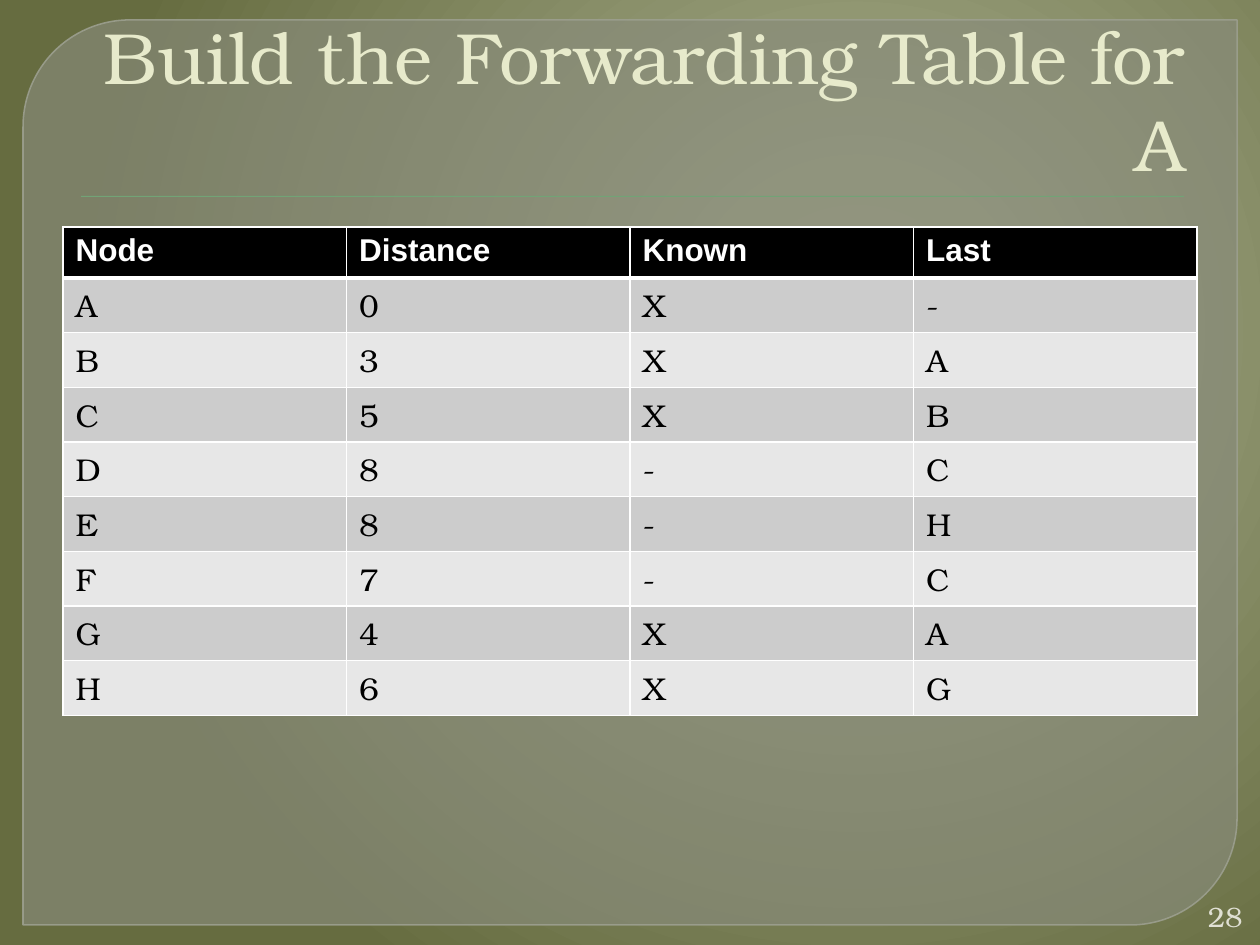
from dataclasses import dataclass

from lxml import etree
from pptx import Presentation
from pptx.dml.color import RGBColor
from pptx.enum.shapes import MSO_SHAPE
from pptx.enum.text import MSO_ANCHOR, MSO_AUTO_SIZE, PP_ALIGN
from pptx.oxml.ns import qn
from pptx.util import Emu, Pt

ROUND_DIAGONAL = MSO_SHAPE.ROUND_2_DIAG_RECTANGLE
RECTANGLE = MSO_SHAPE.RECTANGLE
BOTTOM, MIDDLE = MSO_ANCHOR.BOTTOM, MSO_ANCHOR.MIDDLE
RIGHT = PP_ALIGN.RIGHT
NO_FIT = MSO_AUTO_SIZE.NONE
TITLE_ONLY = 5


@dataclass(frozen=True)
class Theme:
    """Colours, fonts and type sizes of the slide."""
    serif: str = "TeX Gyre Bonum"
    sans: str = "Arial"
    title: str = "E7EACB"
    number: str = "E0E0D4"
    panel: str = "888B7B"
    panel_edge: str = "9DA090"
    rule: str = "72A376"
    black: str = "000000"
    white: str = "FFFFFF"
    bands: tuple = ("CCCCCC", "E7E7E7")
    glow: tuple = ((0, "A9AE8D"), (20, "9FA583"), (100, "666C40"))
    title_size: float = 41.4
    table_size: int = 18
    number_size: int = 16


THEME = Theme()
HEADER = ("Node", "Distance", "Known", "Last")
ROUTES = (
    ("A", "0", "X", "-"),
    ("B", "3", "X", "A"),
    ("C", "5", "X", "B"),
    ("D", "8", "-", "C"),
    ("E", "8", "-", "H"),
    ("F", "7", "-", "C"),
    ("G", "4", "X", "A"),
    ("H", "6", "X", "G"),
)


def px(count):
    """Turn pixels at 126 to the inch into EMU."""
    return Emu(round(count * 914400 / 126))


def add_child(parent, tag, **attributes):
    """Append a DrawingML element with the given attributes."""
    values = {name: str(value) for name, value in attributes.items()}
    return etree.SubElement(parent, qn(tag), values)


def set_alpha(color_parent, percent):
    """Make the colour inside an element partly transparent."""
    color = color_parent.find(".//" + qn("a:srgbClr"))
    add_child(color, "a:alpha", val=percent * 1000)


def paint_background(page):
    """Fill the page with a round gradient glow."""
    page.background.fill.gradient()
    gradient = page.element.find(".//" + qn("a:gradFill"))
    for child in list(gradient):
        gradient.remove(child)
    stops = add_child(gradient, "a:gsLst")
    for position, color in THEME.glow:
        stop = add_child(stops, "a:gs", pos=position * 1000)
        add_child(stop, "a:srgbClr", val=color)
    shade = add_child(gradient, "a:path", path="circle")
    add_child(shade, "a:fillToRect", l=68000, t=35000, r=32000, b=65000)


def add_shape(page, kind, frame, color):
    """Add a filled shape without outline or shadow."""
    shape = page.shapes.add_shape(kind, *map(px, frame))
    shape.shadow.inherit = False
    shape.fill.solid()
    shape.fill.fore_color.rgb = RGBColor.from_string(color)
    shape.line.fill.background()
    return shape


def add_panel(page):
    """Add the translucent panel with two rounded corners."""
    panel = add_shape(page, ROUND_DIAGONAL, (23, 20, 1214, 905), THEME.panel)
    panel.adjustments[0] = 0.118
    panel.adjustments[1] = 0
    properties = panel.element.spPr
    set_alpha(properties.find(qn("a:solidFill")), 65)
    panel.line.color.rgb = RGBColor.from_string(THEME.panel_edge)
    panel.line.width = Pt(0.87)
    set_alpha(properties.find(qn("a:ln")), 88)
    return panel


def add_rule(page):
    """Add the thin line with a soft shadow under the title."""
    rule = add_shape(page, RECTANGLE, (81, 196, 1103, 1), THEME.rule)
    effects = rule.element.spPr.find(qn("a:effectLst"))
    shadow = add_child(effects, "a:outerShdw", blurRad=Pt(1), dist=Pt(1), dir=5400000)
    add_child(shadow, "a:srgbClr", val=THEME.black)
    set_alpha(shadow, 75)
    return rule


def add_span(para, text, size, color, font, bold=False):
    """Add one formatted run to a paragraph."""
    span = para.add_run()
    span.text = text
    span.font.size = Pt(size)
    span.font.name = font
    span.font.bold = bold
    span.font.color.rgb = RGBColor.from_string(color)


def write_line(box, text, size, color, anchor):
    """Write one right-aligned serif paragraph in a box."""
    frame = box.text_frame
    frame.word_wrap = True
    frame.auto_size = NO_FIT
    frame.vertical_anchor = anchor
    para = frame.paragraphs[0]
    para.alignment = RIGHT
    add_span(para, text, size, color, THEME.serif)
    return para


def set_title(title, text):
    """Place and format the title placeholder."""
    title.left, title.top, title.width, title.height = map(px, (63, 35, 1134, 157))
    para = write_line(title, text, THEME.title_size, THEME.title, BOTTOM)
    properties = para._p.get_or_add_pPr()
    properties.set("marL", str(px(7)))
    properties.set("indent", str(-px(7)))


def set_borders(cell, top, bottom):
    """Draw white borders around a cell, with widths in points."""
    properties = cell._tc.get_or_add_tcPr()
    sides = (("a:lnL", 1), ("a:lnR", 1), ("a:lnT", top), ("a:lnB", bottom))
    for tag, width in sides:
        line = add_child(properties, tag, w=Pt(width))
        add_child(add_child(line, "a:solidFill"), "a:srgbClr", val=THEME.white)


def add_forwarding_table(page):
    """Add the table of nodes with a black header and grey bands."""
    rows = (HEADER,) + ROUTES
    row_height = 51
    place = map(px, (63, 227, 1134, row_height * len(rows)))
    table = page.shapes.add_table(len(rows), len(HEADER), *place).table
    for index, values in enumerate(rows):
        is_header = index == 0
        table.rows[index].height = px(row_height)
        fill = THEME.black if is_header else THEME.bands[(index - 1) % 2]
        color = THEME.white if is_header else THEME.black
        font = THEME.sans if is_header else THEME.serif
        for column, text in enumerate(values):
            cell = table.cell(index, column)
            set_borders(cell, 3 if index == 1 else 1, 3 if is_header else 1)
            cell.fill.solid()
            cell.fill.fore_color.rgb = RGBColor.from_string(fill)
            para = cell.text_frame.paragraphs[0]
            add_span(para, text, THEME.table_size, color, font, is_header)


def main():
    """Build the forwarding table slide."""
    deck = Presentation()
    deck.slide_width, deck.slide_height = px(1260), px(945)
    page = deck.slides.add_slide(deck.slide_layouts[TITLE_ONLY])
    paint_background(page)
    title = page.shapes.title
    for backdrop in (add_panel(page), add_rule(page)):
        title.element.addprevious(backdrop.element)
    set_title(title, "Build the Forwarding Table for A")
    add_forwarding_table(page)
    number = page.shapes.add_textbox(*map(px, (1191, 897, 64, 38)))
    write_line(number, "28", THEME.number_size, THEME.number, MIDDLE)
    deck.save("out.pptx")


if __name__ == "__main__":
    main()
